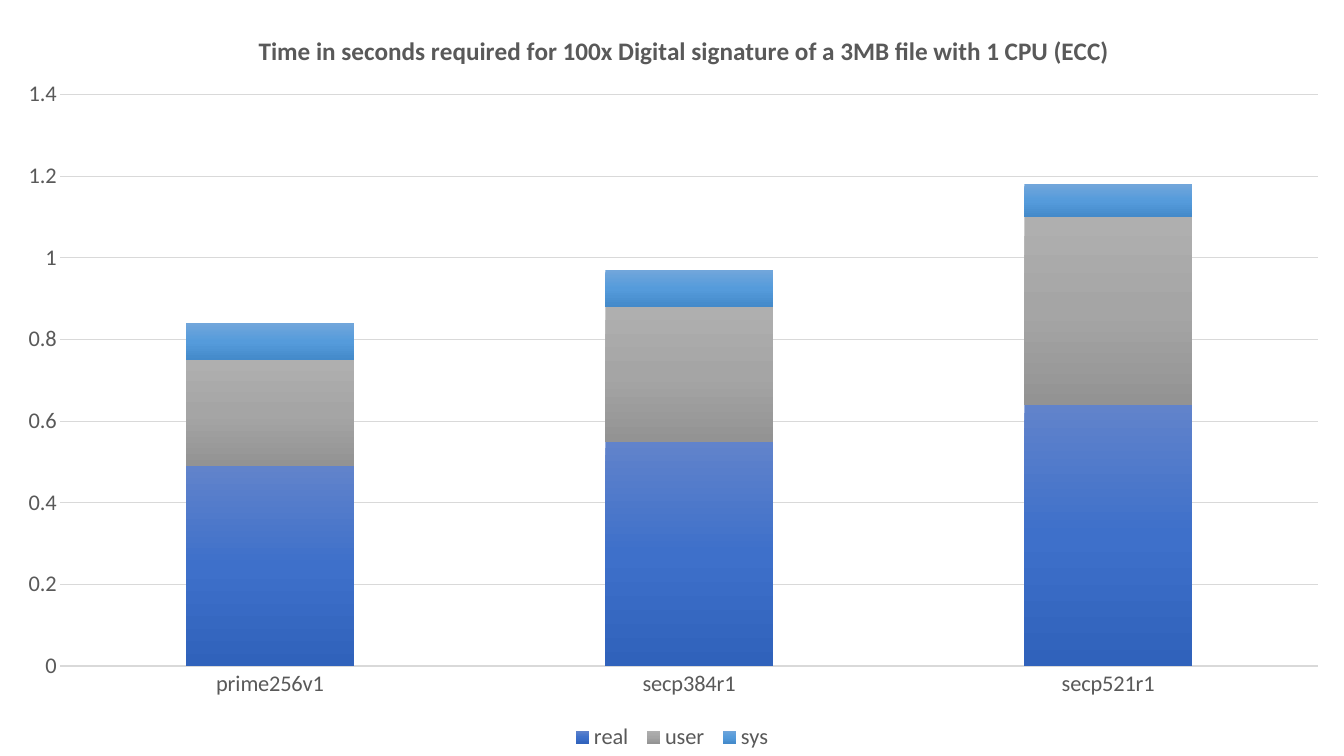
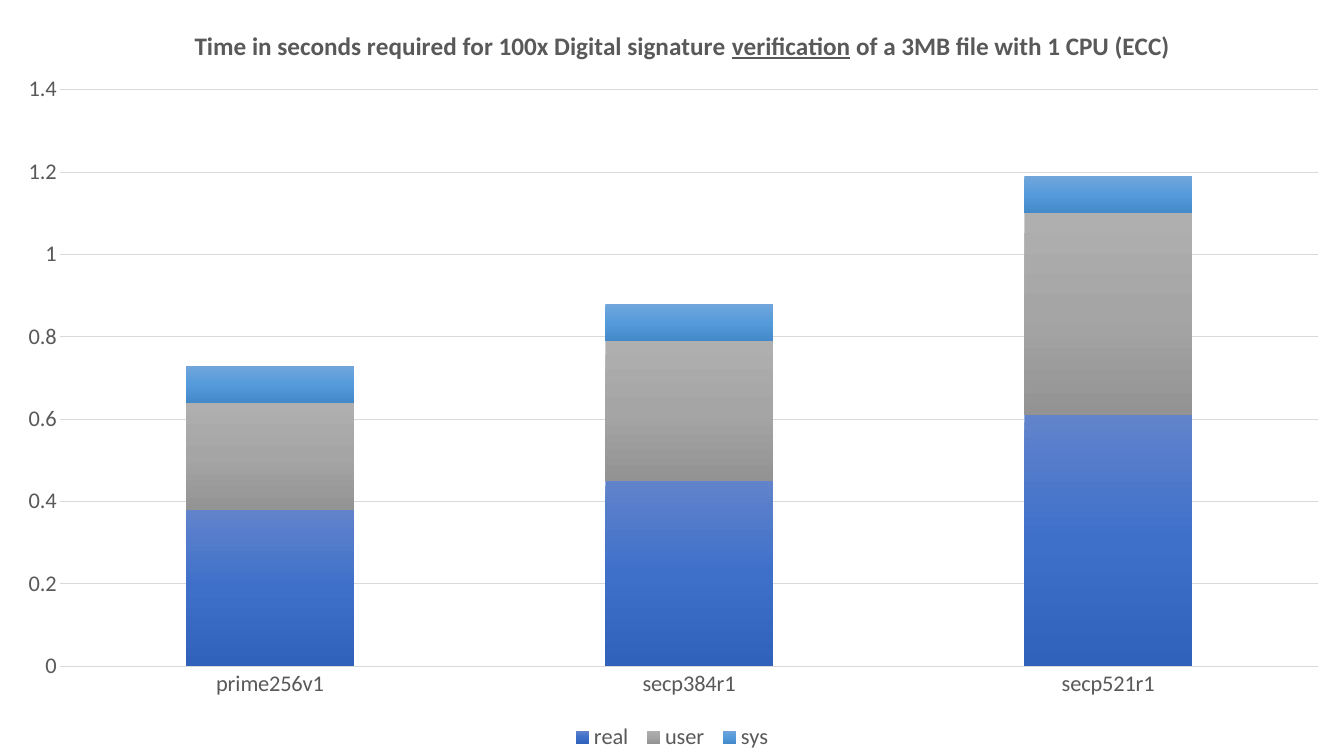
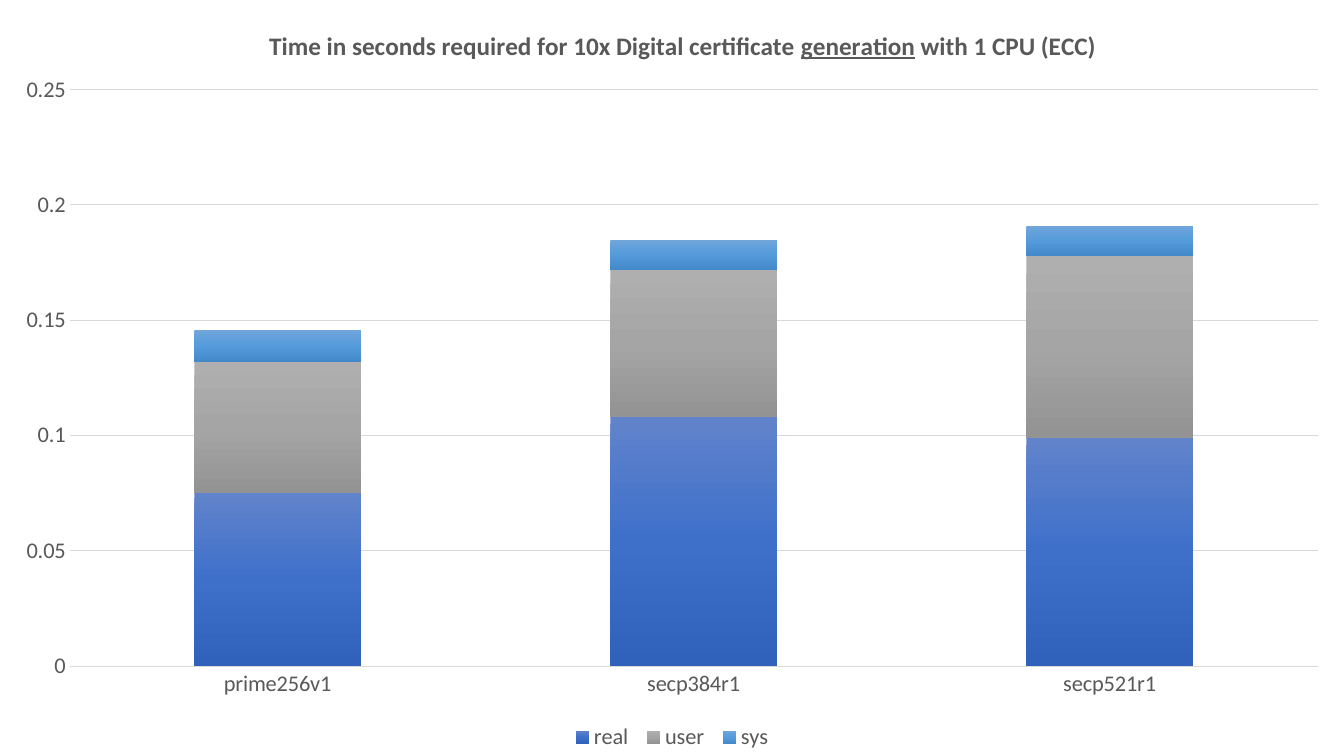
import copy

import pptx
import pptx.chart.data
import pptx.dml.color
import pptx.enum.chart
import pptx.oxml
import pptx.oxml.ns
import pptx.util

Inches = pptx.util.Inches
Pt = pptx.util.Pt

FONT = "Calibri"
SLIDE_W, SLIDE_H = 13.33, 7.5
COLORS = {"background": "FFFFFF", "text": "595959", "line": "D9D9D9"}
# Gradient of each series, from top to bottom
GRADIENTS = {
    "real": ("6183CB", "3E70CA", "3062BB"),
    "user": ("AFAFAF", "A5A5A5", "939393"),
    "sys": ("71A6DB", "559BDB", "448ACA"),
}
CURVES = ("prime256v1", "secp384r1", "secp521r1")
PLOT_RIGHT, PLOT_BOTTOM = 13.07, 6.61
LEGEND_BOX = (5.6, 7.13, 2.13, 0.37)

# Title: (text, underlined) runs; title_at: left, top; plot_at: left, top
CHARTS = [
    {
        "title": [("Time in seconds required for 100x Digital signature of a 3MB file "
                   "with 1 CPU (ECC)", False)],
        "title_at": (2.52, 0.29), "plot_at": (0.6, 0.94), "scale": (1.4, 0.2),
        "values": {"real": (0.49, 0.55, 0.64), "user": (0.26, 0.33, 0.46),
                   "sys": (0.09, 0.09, 0.08)},
    },
    {
        "title": [("Time in seconds required for 100x Digital signature ", False),
                  ("verification", True),
                  (" of a 3MB file with 1 CPU (ECC)", False)],
        "title_at": (1.9, 0.26), "plot_at": (0.6, 0.89), "scale": (1.4, 0.2),
        "values": {"real": (0.38, 0.45, 0.61), "user": (0.26, 0.34, 0.49),
                   "sys": (0.09, 0.09, 0.09)},
    },
    {
        "title": [("Time in seconds required for 10x Digital certificate ", False),
                  ("generation", True),
                  (" with 1 CPU (ECC)", False)],
        "title_at": (2.64, 0.26), "plot_at": (0.69, 0.89), "scale": (0.25, 0.05),
        "values": {"real": (0.075, 0.108, 0.099), "user": (0.057, 0.064, 0.079),
                   "sys": (0.014, 0.013, 0.013)},
    },
]


def rgb(name):
    return pptx.dml.color.RGBColor.from_string(COLORS.get(name, name))


def style_font(font, size, bold=False):
    font.name = FONT
    font.size = Pt(size)
    font.bold = bold
    font.color.rgb = rgb("text")


def style_line(line, width):
    line.color.rgb = rgb("line")
    line.width = Pt(width)


def set_layout(element, index, box, left, top, width=None, height=None, inner=False):
    """Place a chart part, in inches, inside the chart's box."""
    for old in element.findall(pptx.oxml.ns.qn("c:layout")):
        element.remove(old)
    target = '<c:layoutTarget val="inner"/>' if inner else ""
    modes = '<c:xMode val="edge"/><c:yMode val="edge"/>'
    parts = (("x", left, box[2]), ("y", top, box[3]),
             ("w", width, box[2]), ("h", height, box[3]))
    sizes = "".join(f'<c:{tag} val="{length / full:.4f}"/>'
                    for tag, length, full in parts if length is not None)
    element.insert(index, pptx.oxml.parse_xml(
        f'<c:layout {pptx.oxml.ns.nsdecls("c")}><c:manualLayout>'
        f'{target}{modes}{sizes}</c:manualLayout></c:layout>'))


def fill_gradient(series, stops):
    fill = series.format.fill
    fill.gradient()
    fill.gradient_angle = 270
    stop_list = series._element.xpath(".//a:gsLst")[0]
    stop_list.insert(1, copy.deepcopy(stop_list[0]))
    for i, (stop, color) in enumerate(zip(fill.gradient_stops, stops)):
        stop.position = i / (len(stops) - 1)
        stop.color.rgb = rgb(color)


def add_title(chart, runs, box, at):
    p = chart.chart_title.text_frame.paragraphs[0]
    for text, underlined in runs:
        r = p.add_run()
        r.text = text
        style_font(r.font, 18, bold=True)
        r.font.underline = underlined
    chart.chart_title.include_in_layout = False
    set_layout(chart.chart_title._element, 1, box, *at)


def style_axes(chart, scale):
    for axis in (chart.category_axis, chart.value_axis):
        axis.major_tick_mark = pptx.enum.chart.XL_TICK_MARK.NONE
        axis.minor_tick_mark = pptx.enum.chart.XL_TICK_MARK.NONE
        style_font(axis.tick_labels.font, 16)
    style_line(chart.category_axis.format.line, 1)
    values = chart.value_axis
    values.format.line.fill.background()
    values.minimum_scale = 0
    values.maximum_scale, values.major_unit = scale
    values.has_major_gridlines = True
    style_line(values.major_gridlines.format.line, 0.75)


def add_legend(chart, box):
    chart.has_legend = True
    legend = chart.legend
    legend.position = pptx.enum.chart.XL_LEGEND_POSITION.BOTTOM
    legend.include_in_layout = False
    style_font(legend.font, 16)
    set_layout(legend._element, 1, box, *LEGEND_BOX)


def add_timing_chart(s, content, box):
    data = pptx.chart.data.CategoryChartData()
    data.categories = CURVES
    for name, values in content["values"].items():
        data.add_series(name, values)
    chart = s.shapes.add_chart(
        pptx.enum.chart.XL_CHART_TYPE.COLUMN_STACKED,
        *(Inches(length) for length in box), data).chart
    style_font(chart.font, 16)

    # Columns
    plot = chart.plots[0]
    plot.gap_width = 150
    plot.overlap = 100
    plot.vary_by_categories = False
    for series in plot.series:
        fill_gradient(series, GRADIENTS[series.name])
        series.invert_if_negative = False

    # Title, axes and legend around the plot
    add_title(chart, content["title"], box, content["title_at"])
    style_axes(chart, content["scale"])
    add_legend(chart, box)
    left, top = content["plot_at"]
    plot_area = chart._chartSpace.xpath("c:chart/c:plotArea")[0]
    set_layout(plot_area, 0, box, left, top,
               PLOT_RIGHT - left, PLOT_BOTTOM - top, inner=True)


def main():
    prs = pptx.Presentation()
    prs.slide_width, prs.slide_height = Inches(SLIDE_W), Inches(SLIDE_H)
    background = prs.slide_master.background.fill
    background.solid()
    background.fore_color.rgb = rgb("background")
    for content in CHARTS:
        s = prs.slides.add_slide(prs.slide_layouts[6])
        add_timing_chart(s, content, (0, 0, SLIDE_W, SLIDE_H))
    prs.save("out.pptx")


if __name__ == "__main__":
    main()
